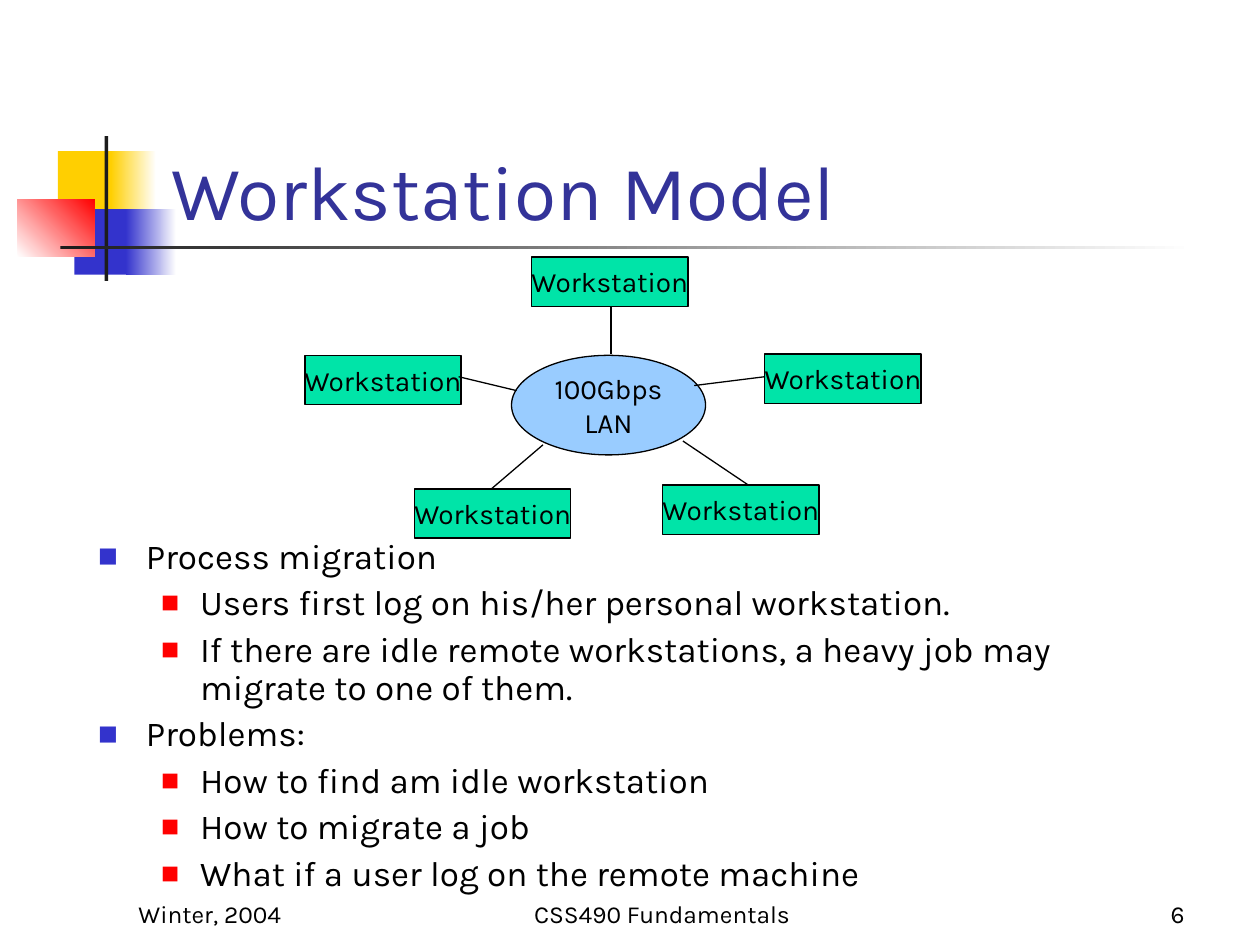
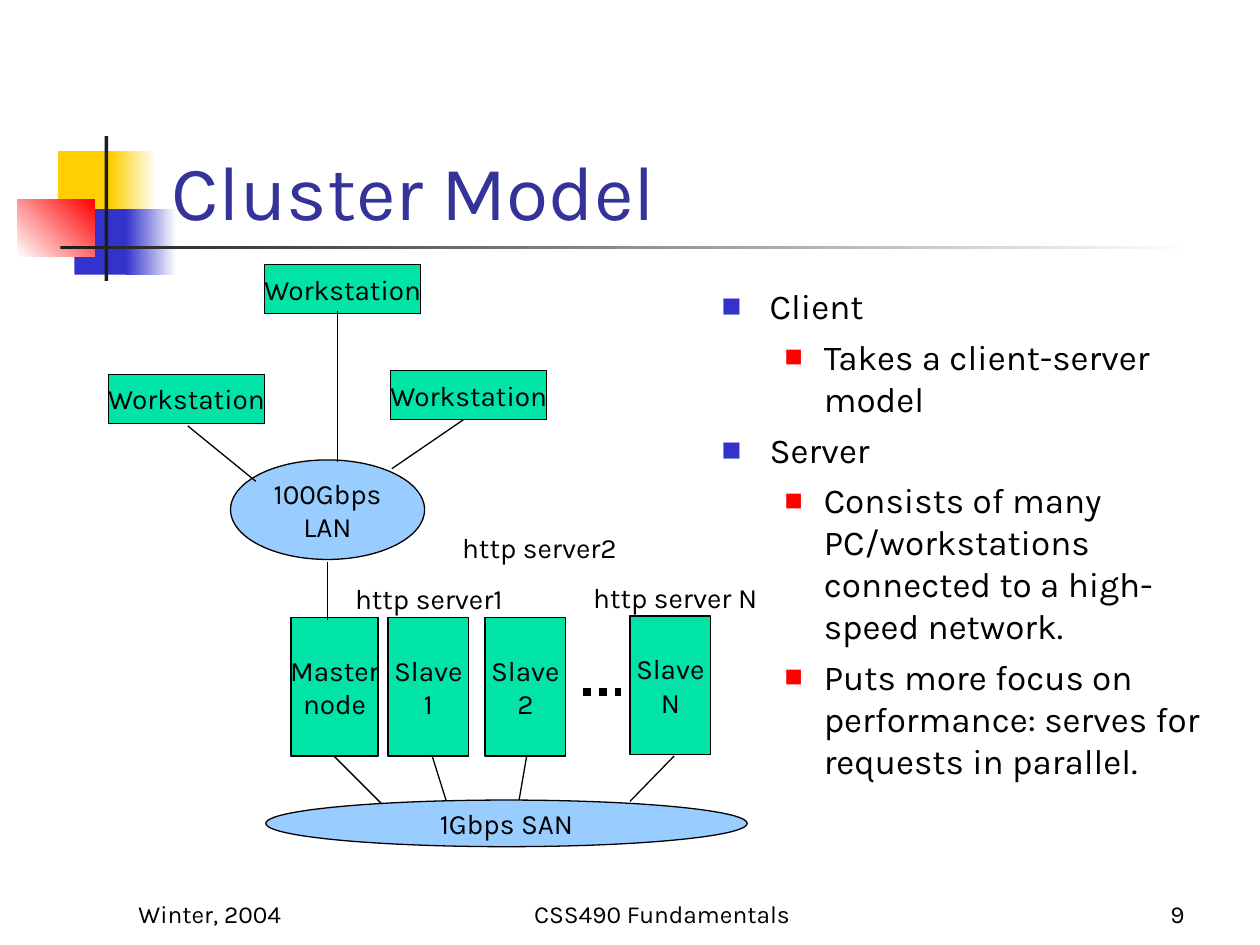
"""Build the Workstation Model and Cluster Model slides."""
from dataclasses import dataclass

from lxml.etree import SubElement
from pptx import Presentation
from pptx.dml.color import RGBColor as RGB
from pptx.enum.dml import MSO_LINE
from pptx.enum.shapes import MSO_CONNECTOR as CONN, MSO_SHAPE as SHAPE
from pptx.enum.text import MSO_ANCHOR as ANCHOR, MSO_AUTO_SIZE as AUTO, PP_ALIGN as ALIGN
from pptx.oxml.ns import qn
from pptx.util import Inches, Pt


@dataclass(frozen=True)
class Theme:
    """Colours, font and type sizes shared by the slides."""
    font: str = "Karla"
    text: str = "000000"
    title: str = "333399"
    white: str = "FFFFFF"
    yellow: str = "FFCF01"
    blue: str = "3333CC"
    red: str = "FF0000"
    dark: str = "1C1C1C"
    machine: str = "00E4A8"
    network: str = "99CCFF"
    title_size: int = 44
    body_size: int = 20
    label_size: int = 16
    footer_size: int = 14
    line_width: float = 0.75
    dots_width: float = 4.5


T = Theme()

MOTIF = [
    ((0.46, 1.2, 0.48, 0.52), (T.yellow,), 0),
    ((0.88, 1.2, 0.36, 0.52), (T.yellow, T.white), 0),
    ((0.59, 1.66, 0.46, 0.52), (T.blue,), 0),
    ((1, 1.66, 0.4, 0.52), (T.blue, T.white), 0),
    ((0.14, 1.58, 0.61, 0.46), (T.white, T.red), 45),
    ((0.83, 1.08, 0.03, 1.15), (T.dark,), 0),
    ((0.48, 1.95, 9, 0.03), (T.dark, T.white), 0),
]
TITLE_BOX = (1.26, 0.67, 8.52, 1.25)
FOOTER_TOP, FOOTER_HEIGHT = 6.92, 0.5
FOOTERS = [
    (1, 2.08, "Winter, 2004", ALIGN.LEFT),
    (3.67, 3.17, "CSS490 Fundamentals", ALIGN.CENTER),
    (7.42, 2.08, "{page}", ALIGN.RIGHT),
]
BULLETS = [
    {"marL": 0.38, "indent": -0.38, "color": T.blue, "percent": 60},
    {"marL": 0.81, "indent": -0.31, "color": T.red, "percent": 55},
]
STATION, LAN, SLAVE = (1.24, 0.39), (1.54, 0.79), (0.64, 1.1)
MASTER, SAN = (0.69, 1.1), (3.82, 0.37)
LAN_TEXT = "100Gbps\nLAN"

SLIDES = [
    {
        "title": "Workstation Model",
        "page": 6,
        "body_box": (0.68, 4.23, 8.5, 2.94),
        "line_spacing": 0.9,
        "body": [
            (0, "Process migration"),
            (1, "Users first log on his/her personal workstation."),
            (1, "If there are idle remote workstations, a heavy job may migrate to one of them."),
            (0, "Problems:"),
            (1, "How to find am idle workstation"),
            (1, "How to migrate a job"),
            (1, "What if a user log on the remote machine"),
        ],
        "stations": [(4.22, 2.04), (2.42, 2.82), (6.07, 2.81), (5.26, 3.85), (3.29, 3.88)],
        "machines": [],
        "networks": [(4.06, 2.82, LAN, LAN_TEXT)],
        "links": [
            (3.64, 2.99, 4.1, 3.1),
            (3.9, 3.88, 4.31, 3.53),
            (5.94, 3.85, 5.42, 3.5),
            (4.85, 2.43, 4.85, 2.81),
            (6.07, 2.99, 5.51, 3.06),
        ],
        "dots": [],
        "labels": [],
    },
    {
        "title": "Cluster Model",
        "page": 9,
        "body_box": (5.63, 2.21, 4.17, 4.5),
        "line_spacing": 1.0,
        "body": [
            (0, "Client"),
            (1, "Takes a client-server model"),
            (0, "Server"),
            (1, "Consists of many PC/workstations connected to a high-speed network."),
            (1, "Puts more focus on performance: serves for requests in parallel."),
        ],
        "stations": [(2.1, 2.1), (0.86, 2.97), (3.1, 2.94)],
        "machines": [
            (2.31, 4.9, MASTER, "Master\nnode"),
            (3.08, 4.9, SLAVE, "Slave\n1"),
            (3.85, 4.9, SLAVE, "Slave\n2"),
            (5, 4.89, SLAVE, "Slave\nN"),
        ],
        "networks": [(1.83, 3.65, LAN, LAN_TEXT), (2.11, 6.35, SAN, "1Gbps SAN")],
        "links": [
            (2.68, 2.47, 2.68, 3.67),
            (1.49, 3.38, 2.03, 3.82),
            (3.68, 3.33, 3.11, 3.72),
            (2.6, 4.46, 2.6, 4.92),
            (2.65, 6, 3.03, 6.38),
            (3.43, 6, 3.54, 6.35),
            (4.18, 6, 4.12, 6.35),
            (5.35, 6, 5, 6.36),
        ],
        "dots": [(4.63, 5.49, 4.93, 5.49)],
        "labels": [
            (2.72, 4.57, 1.47, "http server1"),
            (3.57, 4.16, 1.47, "http server2"),
            (4.61, 4.56, 1.57, "http server N"),
        ],
    },
]


def apply(obj, **values):
    """Set each named attribute on an object."""
    for name, value in values.items():
        setattr(obj, name, value)


def inches(box):
    """Turn plain numbers into lengths."""
    return [Inches(v) for v in box]


def write(tf, text, size, color=T.text, align=ALIGN.LEFT, **frame):
    """Fill a text frame with one paragraph per line of text."""
    apply(tf, **frame)
    for i, line in enumerate(text.split("\n")):
        p = tf.paragraphs[0] if i == 0 else tf.add_paragraph()
        p.alignment = align
        r = p.add_run()
        r.text = line
        apply(r.font, name=T.font, size=Pt(size))
        r.font.color.rgb = RGB.from_string(color)


def add_text(slide, box, text, size, **fmt):
    """Add a text box."""
    write(slide.shapes.add_textbox(*inches(box)).text_frame, text, size, **fmt)


def add_motif(slide):
    """Draw the coloured squares and rules beside the title."""
    for box, colors, angle in MOTIF:
        sp = slide.shapes.add_shape(SHAPE.RECTANGLE, *inches(box))
        sp.shadow.inherit = False
        sp.line.fill.background()
        if len(colors) == 1:
            sp.fill.solid()
            sp.fill.fore_color.rgb = RGB.from_string(colors[0])
            continue
        sp.fill.gradient()
        sp.fill.gradient_angle = angle
        for stop, color in zip(sp.fill.gradient_stops, colors):
            stop.color.rgb = RGB.from_string(color)


def add_title(slide, text):
    """Place and format the title above the motif."""
    title = slide.shapes.title
    left, top, width, height = inches(TITLE_BOX)
    apply(title, left=left, top=top, width=width, height=height)
    write(title.text_frame, text, T.title_size, T.title,
          vertical_anchor=ANCHOR.BOTTOM, word_wrap=True, auto_size=AUTO.NONE)
    title.element.getparent().append(title.element)


def add_footers(slide, page):
    """Add date, course and page number."""
    for left, width, text, align in FOOTERS:
        add_text(slide, (left, FOOTER_TOP, width, FOOTER_HEIGHT), text.format(page=page),
                 T.footer_size, align=align, vertical_anchor=ANCHOR.BOTTOM, word_wrap=True)


def set_bullet(p, marL, indent, color, percent):
    """Give a paragraph a square bullet and hanging indent."""
    pPr = p._p.get_or_add_pPr()
    pPr.set("marL", str(Inches(marL)))
    pPr.set("indent", str(Inches(indent)))
    SubElement(SubElement(pPr, qn("a:buClr")), qn("a:srgbClr"), val=color)
    SubElement(pPr, qn("a:buSzPct"), val=str(percent * 1000))
    SubElement(pPr, qn("a:buFont"), typeface=T.font)
    SubElement(pPr, qn("a:buChar"), char="■")


def add_body(slide, box, items, line_spacing):
    """Add the two-level bulleted list."""
    tf = slide.shapes.add_textbox(*inches(box)).text_frame
    write(tf, "\n".join(text for _, text in items), T.body_size, word_wrap=True)
    for i, (p, (level, _)) in enumerate(zip(tf.paragraphs, items)):
        set_bullet(p, **BULLETS[level])
        apply(p, level=level, line_spacing=line_spacing, space_before=Pt(5 if i else 0))


def add_node(slide, kind, color, left, top, size, text):
    """Add an outlined, labelled shape."""
    sp = slide.shapes.add_shape(kind, *inches((left, top, *size)))
    sp.shadow.inherit = False
    sp.fill.solid()
    sp.fill.fore_color.rgb = RGB.from_string(color)
    sp.line.color.rgb = RGB.from_string(T.text)
    sp.line.width = Pt(T.line_width)
    write(sp.text_frame, text, T.label_size, align=ALIGN.CENTER,
          vertical_anchor=ANCHOR.MIDDLE, word_wrap=False)


def add_link(slide, ends, **line):
    """Add a straight line between two points."""
    cx = slide.shapes.add_connector(CONN.STRAIGHT, *inches(ends))
    cx.line.color.rgb = RGB.from_string(T.text)
    apply(cx.line, **line)
    SubElement(cx._element.spPr, qn("a:effectLst"))


def build_slide(prs, data):
    """Build one slide from its content."""
    slide = prs.slides.add_slide(prs.slide_layouts[5])
    add_motif(slide)
    add_footers(slide, data["page"])
    add_title(slide, data["title"])
    add_body(slide, data["body_box"], data["body"], data["line_spacing"])
    for node in data["networks"]:
        add_node(slide, SHAPE.OVAL, T.network, *node)
    stations = [(left, top, STATION, "Workstation") for left, top in data["stations"]]
    for node in stations + data["machines"]:
        add_node(slide, SHAPE.RECTANGLE, T.machine, *node)
    for ends in data["links"]:
        add_link(slide, ends, width=Pt(T.line_width))
    for ends in data["dots"]:
        add_link(slide, ends, width=Pt(T.dots_width), dash_style=MSO_LINE.ROUND_DOT)
    for left, top, width, text in data["labels"]:
        add_text(slide, (left, top, width, 0.37), text, T.label_size,
                 word_wrap=False, auto_size=AUTO.SHAPE_TO_FIT_TEXT)


def main():
    """Build and save the deck."""
    prs = Presentation()
    apply(prs, slide_width=Inches(10), slide_height=Inches(7.5))
    for data in SLIDES:
        build_slide(prs, data)
    prs.save("out.pptx")


if __name__ == "__main__":
    main()
